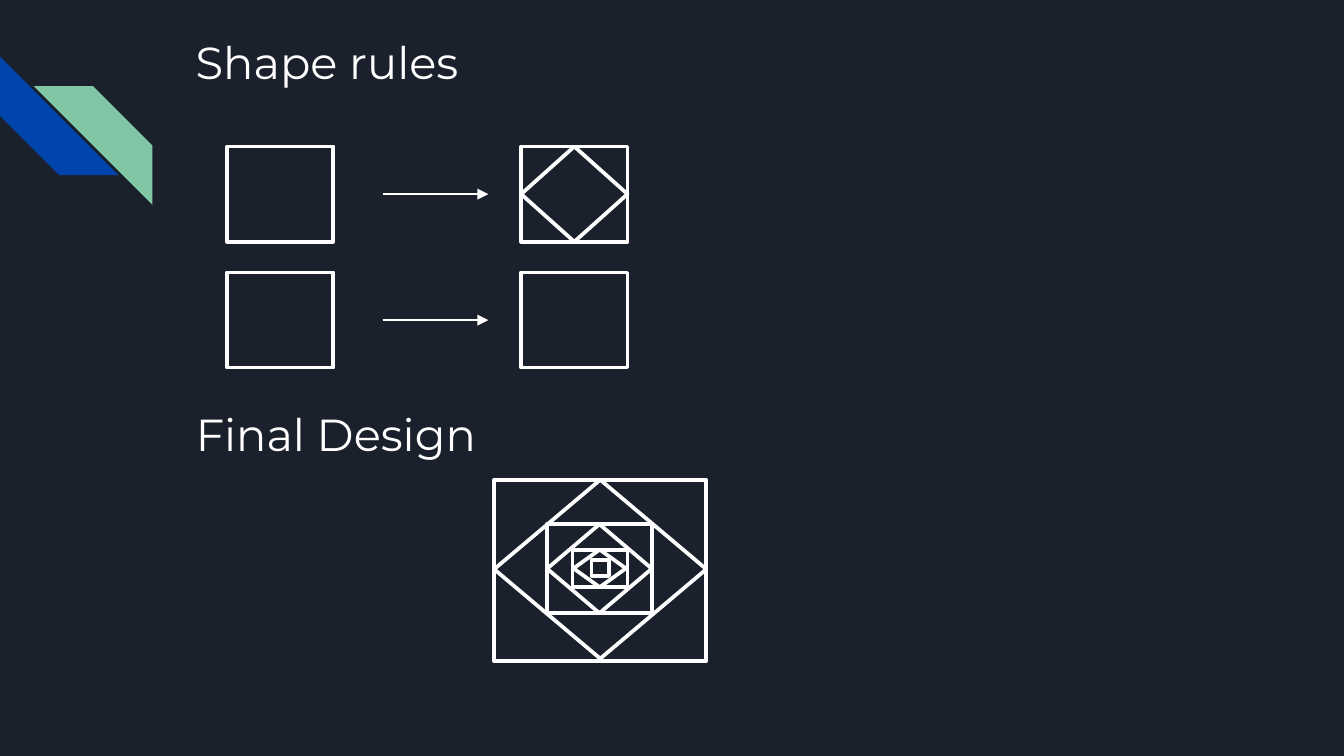
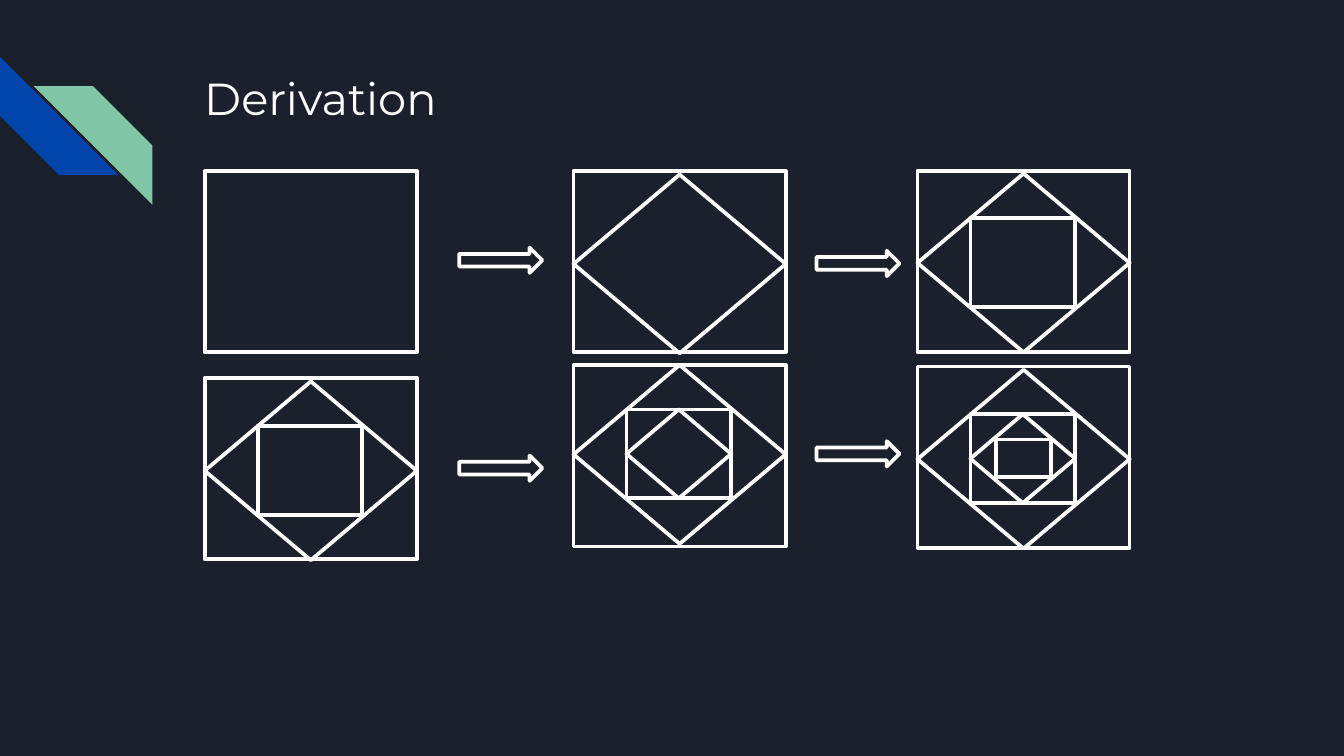
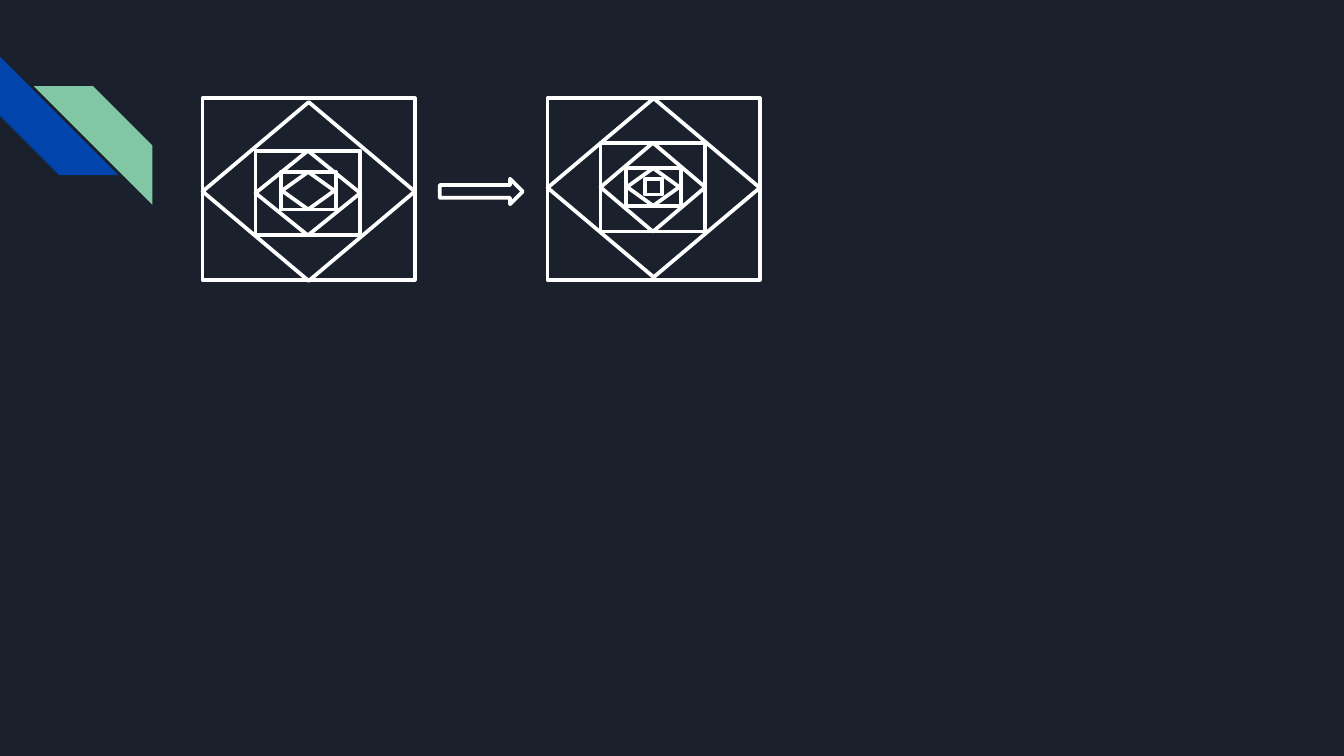
from lxml.etree import SubElement
from pptx import Presentation
from pptx.dml.color import RGBColor
from pptx.enum.shapes import MSO_CONNECTOR, MSO_SHAPE as Form
from pptx.enum.text import MSO_ANCHOR, MSO_AUTO_SIZE, PP_ALIGN
from pptx.oxml.ns import qn
from pptx.util import Cm, Pt

NIGHT = RGBColor(0x1B, 0x21, 0x2C)
BLUE = RGBColor(0x01, 0x45, 0xAC)
GREEN = RGBColor(0x82, 0xC7, 0xA5)
WHITE = RGBColor(0xFF, 0xFF, 0xFF)
FONT = "Montserrat"

TITLE_ONLY, BLANK = 5, 6
TEXT_WIDTH = 19.56
RULE_BOX = (2.01, 1.8)
NEST = (
    (Form.RECTANGLE, 0, 0, 4.01, 3.43),
    (Form.DIAMOND, 0, 0, 4.01, 3.38),
    (Form.RECTANGLE, 1, 0.84, 1.98, 1.68),
    (Form.DIAMOND, 1, 0.84, 1.98, 1.68),
    (Form.RECTANGLE, 1.48, 1.32, 1.04, 0.71),
    (Form.DIAMOND, 1.5, 1.32, 0.99, 0.71),
    (Form.RECTANGLE, 1.84, 1.52, 0.33, 0.3),
)
MIDDLE_PAIR = (2, 3)


def add_outline(page, form, left, top, width, height):
    shape = page.shapes.add_shape(form, Cm(left), Cm(top), Cm(width), Cm(height))
    shape.shadow.inherit = False
    shape.fill.background()
    shape.line.color.rgb = WHITE
    shape.line.width = Pt(2)
    SubElement(shape.element.spPr.find(qn("a:ln")), qn("a:round"))


def add_nest(page, left, top, depth, drop=0, trim=0):
    for level, (form, x, y, width, height) in enumerate(NEST[:depth]):
        shift = drop if level else 0
        cut = trim if level in MIDDLE_PAIR else 0
        add_outline(page, form, left + x, top + y + shift + cut, width, height - cut)


def add_block_arrow(page, left, top):
    add_outline(page, Form.RIGHT_ARROW, left, top, 1.57, 0.48)


def add_thin_arrow(page, left, right, y):
    arrow = page.shapes.add_connector(
        MSO_CONNECTOR.STRAIGHT, Cm(left), Cm(y), Cm(right), Cm(y))
    arrow.line.color.rgb = WHITE
    arrow.line.width = Pt(0.75)
    properties = arrow.element.spPr
    SubElement(properties.find(qn("a:ln")), qn("a:tailEnd"), type="triangle")
    SubElement(properties, qn("a:effectLst"))


def write_heading(box, text, left, top, height):
    box.left, box.top = Cm(left), Cm(top)
    box.width, box.height = Cm(TEXT_WIDTH), Cm(height)
    frame = box.text_frame
    frame.text = text
    frame.word_wrap = True
    frame.auto_size = MSO_AUTO_SIZE.NONE
    frame.vertical_anchor = MSO_ANCHOR.TOP
    frame.margin_left = frame.margin_right = Cm(0.25)
    frame.margin_top = frame.margin_bottom = Cm(0.25)
    para = frame.paragraphs[0]
    para.alignment = PP_ALIGN.LEFT
    font = para.runs[0].font
    font.name = FONT
    font.size = Pt(24)
    font.color.rgb = WHITE


def add_stripe(page, left, top, color):
    stripe = page.shapes.add_shape(
        Form.DIAGONAL_STRIPE, Cm(left), Cm(top), Cm(2.24), Cm(2.24))
    stripe.shadow.inherit = False
    stripe.fill.solid()
    stripe.fill.fore_color.rgb = color
    stripe.line.fill.background()
    return stripe


def style_master(master, page):
    fill = master.background.fill
    fill.solid()
    fill.fore_color.rgb = NIGHT
    lower = add_stripe(page, 0, 1.07, BLUE)
    lower.rotation = 270
    upper = add_stripe(page, 0.64, 1.63, GREEN)
    upper.element.spPr.xfrm.set("flipH", "1")
    for number, stripe in enumerate((lower, upper), 20):
        stripe.element.nvSpPr.cNvPr.set("id", str(number))
        master.shapes.element.append(stripe.element)


def build_rules(page):
    write_heading(page.shapes.title, "Final Design", 3.45, 7.44, 2.54)
    box = page.shapes.add_textbox(0, 0, 0, 0)
    write_heading(box, "Shape rules", 3.45, 0.41, 1.8)
    width, height = RULE_BOX
    for top in (2.77, 5.15):
        for left in (4.29, 9.85):
            add_outline(page, Form.RECTANGLE, left, top, width, height)
        add_thin_arrow(page, 7.23, 9.23, top + height / 2)
    add_outline(page, Form.DIAMOND, 9.85, 2.77, width, height)
    add_nest(page, 9.34, 9.07, 7)


def build_derivation(page):
    write_heading(page.shapes.title, "Derivation", 3.61, 1.09, 1.52)
    columns = (3.87, 10.84, 17.34)
    rows = (
        ((3.23, 1, 0), (3.23, 2, 0.07), (3.23, 3, 0.05)),
        ((7.14, 3, 0.07), (6.9, 4, 0), (6.93, 5, 0.06)),
    )
    for row in rows:
        for left, (top, depth, drop) in zip(columns, row):
            add_nest(page, left, top, depth, drop)
    for left, tops in ((8.68, (4.68, 8.61)), (15.43, (4.74, 8.34))):
        for top in tops:
            add_block_arrow(page, left, top)


def build_last_step(page):
    add_nest(page, 3.83, 1.86, 6, 0.07, 0.08)
    add_block_arrow(page, 8.31, 3.38)
    add_nest(page, 10.35, 1.86, 7)


def main():
    deck = Presentation()
    deck.slide_width, deck.slide_height = Cm(25.4), Cm(14.29)
    pages = [deck.slides.add_slide(deck.slide_layouts[number])
             for number in (TITLE_ONLY, TITLE_ONLY, BLANK)]
    style_master(deck.slide_master, pages[0])
    for build, page in zip((build_rules, build_derivation, build_last_step), pages):
        build(page)
    deck.save("out.pptx")


main()
